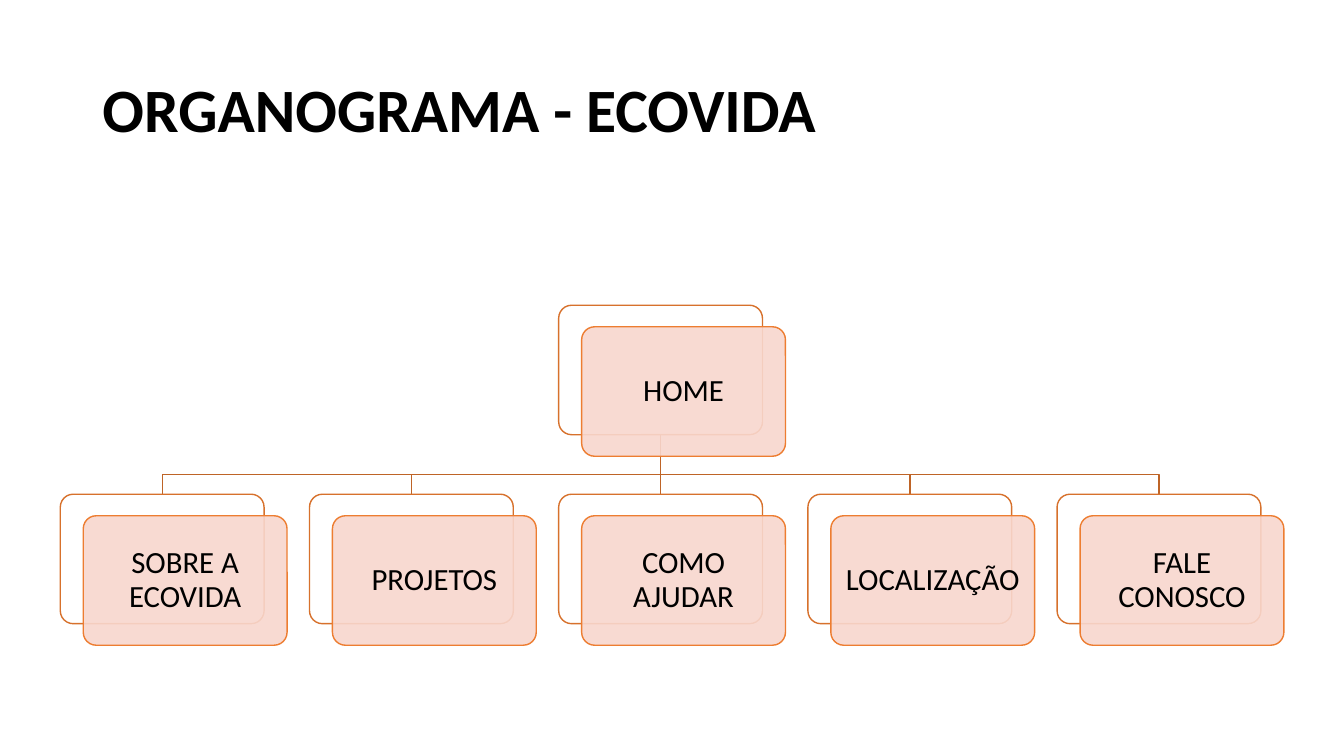
from dataclasses import dataclass

from lxml import etree
from pptx import Presentation
from pptx.dml.color import RGBColor
from pptx.enum.shapes import MSO_CONNECTOR, MSO_SHAPE
from pptx.enum.text import MSO_ANCHOR, MSO_AUTO_SIZE, PP_ALIGN
from pptx.oxml.ns import qn
from pptx.shapes.autoshape import Shape
from pptx.shapes.connector import Connector
from pptx.slide import Slide
from pptx.util import Pt

ROUNDED = MSO_SHAPE.ROUNDED_RECTANGLE
STRAIGHT = MSO_CONNECTOR.STRAIGHT
LEFT, CENTER = PP_ALIGN.LEFT, PP_ALIGN.CENTER
MIDDLE, BOTTOM = MSO_ANCHOR.MIDDLE, MSO_ANCHOR.BOTTOM
NO_AUTOFIT = MSO_AUTO_SIZE.NONE

BLACK = RGBColor(0x00, 0x00, 0x00)
WHITE = RGBColor(0xFF, 0xFF, 0xFF)
PEACH = RGBColor(0xF8, 0xD7, 0xCE)
ORANGE = RGBColor(0xED, 0x7D, 0x31)
DARK_ORANGE = RGBColor(0xD7, 0x71, 0x2C)
BRANCH_BROWN = RGBColor(0xBE, 0x64, 0x27)

FONT = "Calibri"
CARD_WIDTH, CARD_HEIGHT = 145.6, 92.5
CARD_SHIFT_X, CARD_SHIFT_Y = 16.4, 15.4
FIRST_LEFT, COLUMN_PITCH = 43.1, 178
HOME_TOP, PAGE_TOP, BRANCH_Y = 218, 353, 339
HOME_COLUMN = 2


@dataclass(frozen=True)
class Page:
    label: str
    column: int
    top: float

    @property
    def left(self) -> float:
        return FIRST_LEFT + self.column * COLUMN_PITCH

    @property
    def center(self) -> float:
        return self.left + CARD_WIDTH / 2

    @property
    def bottom(self) -> float:
        return self.top + CARD_HEIGHT


HOME = Page("HOME", HOME_COLUMN, HOME_TOP)
PAGES = [
    Page(label, column, PAGE_TOP)
    for column, label in enumerate(
        ["SOBRE A ECOVIDA", "PROJETOS", "COMO AJUDAR", "LOCALIZAÇÃO", "FALE CONOSCO"]
    )
]


def add_title(slide: Slide, wording: str) -> None:
    title = slide.shapes.title
    title.left, title.top, title.width, title.height = Pt(66), Pt(28.8), Pt(828), Pt(79.2)
    frame = title.text_frame
    frame.auto_size = NO_AUTOFIT
    frame.vertical_anchor = BOTTOM
    add_label(title, wording, 44, LEFT, bold=True)


def add_label(
    holder: Shape, wording: str, size: float, alignment: PP_ALIGN, bold: bool = False
) -> None:
    paragraph = holder.text_frame.paragraphs[0]
    paragraph.alignment = alignment
    paragraph.line_spacing = 0.9
    run = paragraph.add_run()
    run.text = wording
    run.font.name = FONT
    run.font.size = Pt(size)
    run.font.bold = bold
    run.font.color.rgb = BLACK


def add_elbow(slide: Slide, parent: Page, child: Page) -> None:
    builder = slide.shapes.build_freeform(Pt(parent.center), Pt(parent.bottom))
    corners = [(parent.center, BRANCH_Y), (child.center, BRANCH_Y), (child.center, child.top)]
    builder.add_line_segments([(Pt(x), Pt(y)) for x, y in corners], close=False)
    elbow = builder.convert_to_shape()
    elbow.shadow.inherit = False
    elbow.fill.background()
    elbow.line.color.rgb = BRANCH_BROWN
    elbow.line.width = Pt(1)


def add_trunk(slide: Slide, parent: Page, child: Page) -> Connector:
    trunk = slide.shapes.add_connector(
        STRAIGHT, Pt(parent.center), Pt(parent.bottom), Pt(child.center), Pt(child.top)
    )
    trunk.line.color.rgb = BRANCH_BROWN
    trunk.line.width = Pt(1)
    etree.SubElement(trunk._element.spPr, qn("a:effectLst"))
    return trunk


def add_panel(slide: Slide, left: float, top: float, fill: RGBColor, outline: RGBColor) -> Shape:
    panel = slide.shapes.add_shape(
        ROUNDED, Pt(left), Pt(top), Pt(CARD_WIDTH), Pt(CARD_HEIGHT)
    )
    panel.adjustments[0] = 0.1
    panel.shadow.inherit = False
    panel.fill.solid()
    panel.fill.fore_color.rgb = fill
    panel.line.color.rgb = outline
    panel.line.width = Pt(1)
    return panel


def add_card(slide: Slide, page: Page) -> Shape:
    back = add_panel(slide, page.left, page.top, WHITE, DARK_ORANGE)
    front = add_panel(
        slide, page.left + CARD_SHIFT_X, page.top + CARD_SHIFT_Y, PEACH, ORANGE
    )
    tint = front._element.spPr.find(qn("a:solidFill")).find(qn("a:srgbClr"))
    etree.SubElement(tint, qn("a:alpha")).set("val", "90000")
    frame = front.text_frame
    frame.word_wrap = True
    frame.vertical_anchor = MIDDLE
    frame.margin_left = frame.margin_right = Pt(6.6)
    frame.margin_top = frame.margin_bottom = Pt(6.6)
    add_label(front, page.label, 22, CENTER)
    return back


def main() -> None:
    presentation = Presentation()
    presentation.slide_width, presentation.slide_height = Pt(960), Pt(540)
    slide = presentation.slides.add_slide(presentation.slide_layouts[5])
    add_title(slide, "ORGANOGRAMA - ECOVIDA")

    for page in PAGES:
        if page.column != HOME_COLUMN:
            add_elbow(slide, HOME, page)
    trunk = add_trunk(slide, HOME, PAGES[HOME_COLUMN])

    home_card = add_card(slide, HOME)
    page_cards = [add_card(slide, page) for page in PAGES]
    trunk.begin_connect(home_card, 2)
    trunk.end_connect(page_cards[HOME_COLUMN], 0)

    presentation.save("out.pptx")


if __name__ == "__main__":
    main()
